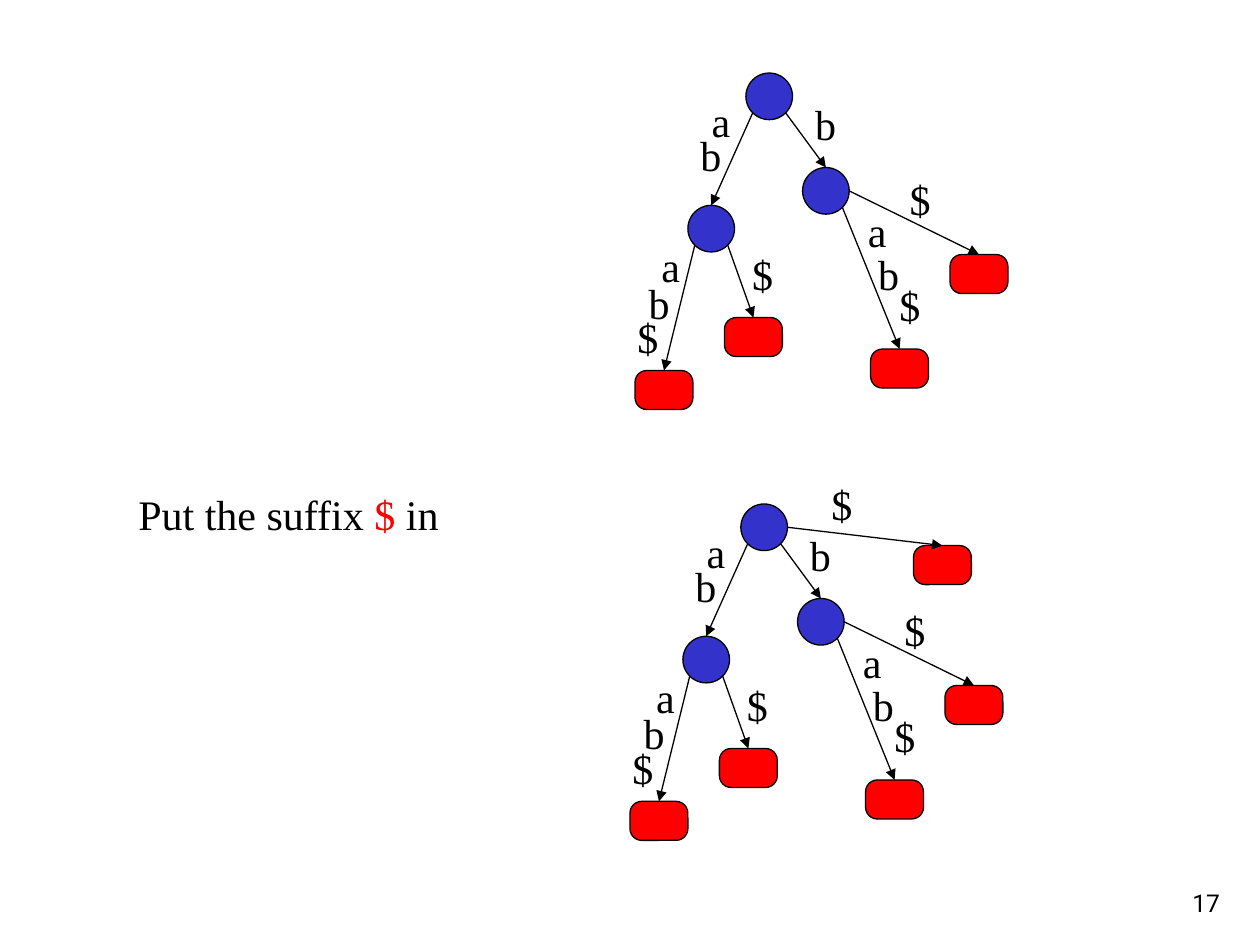
from math import sqrt

from lxml.etree import SubElement
from pptx import Presentation
from pptx.dml.color import RGBColor
from pptx.enum.shapes import MSO_CONNECTOR, MSO_SHAPE
from pptx.enum.text import MSO_ANCHOR, PP_ALIGN
from pptx.oxml.ns import qn
from pptx.util import Inches, Pt

COLORS = {"node": "3333CC", "leaf": "FF0000", "ink": "000000"}
SERIF = "Times New Roman"
CAPTION = [("Put the suffix ", "ink"), ("$", "leaf"), (" in", "ink")]
PAGE_NUMBER = "17"

NODES = {"root": (5.92, 0.58), "ab": (5.46, 1.63), "b": (6.37, 1.33)}
LEAVES = {
    "abab$": (5.04, 2.94),
    "ab$": (5.75, 2.52),
    "bab$": (6.91, 2.77),
    "b$": (7.54, 2.02),
}
EDGES = [
    ("root", "lower left", "ab", [("a", 5.55, 0.71), ("b", 5.46, 0.98)]),
    ("root", "lower right", "b", [("b", 6.37, 0.73)]),
    ("ab", "lower left", "abab$", [("a", 5.15, 1.86), ("b", 5.05, 2.15), ("$", 4.96, 2.42)]),
    ("ab", "lower right", "ab$", [("$", 5.87, 1.92)]),
    ("b", "lower right", "bab$", [("a", 6.79, 1.58), ("b", 6.87, 1.92), ("$", 7.04, 2.17)]),
    ("b", "right", "b$", [("$", 7.12, 1.33)]),
]
NEW_LEAF = {"$": (7.29, 0.91)}
NEW_EDGE = ("root", "right", "$", [("$", 6.54, 0.33)])
TREES = [
    ((0, 0), LEAVES, EDGES),
    ((-0.04, 3.42), {**LEAVES, **NEW_LEAF}, EDGES + [NEW_EDGE]),
]

NODE_SIZE = 0.37
LEAF_WIDTH, LEAF_HEIGHT = 0.46, 0.31
DIAGONAL = 1 / sqrt(2)
EXITS = {
    "lower left": (-DIAGONAL, DIAGONAL),
    "lower right": (DIAGONAL, DIAGONAL),
    "right": (1, 0),
}


def color(name):
    return RGBColor.from_string(COLORS[name])


def add_text(slide, box, runs, size=24, font=SERIF):
    frame = slide.shapes.add_textbox(*map(Inches, box)).text_frame
    frame.word_wrap = True
    paragraph = frame.paragraphs[0]
    for text, ink in runs:
        run = paragraph.add_run()
        run.text = text
        run.font.size = Pt(size)
        run.font.name = font
        run.font.color.rgb = color(ink)
    return frame


def add_vertex(slide, preset, box, fill):
    vertex = slide.shapes.add_shape(preset, *map(Inches, box))
    vertex.shadow.inherit = False
    vertex.fill.solid()
    vertex.fill.fore_color.rgb = color(fill)
    vertex.line.color.rgb = color("ink")
    vertex.line.width = Pt(0.75)
    return vertex


def add_arrow(slide, start, end):
    arrow = slide.shapes.add_connector(MSO_CONNECTOR.STRAIGHT, *map(Inches, start + end))
    arrow.line.color.rgb = color("ink")
    arrow.line.width = Pt(0.75)
    SubElement(arrow.line._get_or_add_ln(), qn("a:tailEnd"), type="triangle")
    SubElement(arrow._element.spPr, qn("a:effectLst"))


def add_tree(slide, offset, leaves, edges):
    dx, dy = offset
    radius = NODE_SIZE / 2
    tops = {}
    for name, (x, y) in NODES.items():
        add_vertex(slide, MSO_SHAPE.OVAL, (x + dx, y + dy, NODE_SIZE, NODE_SIZE), "node")
        tops[name] = (x + dx + radius, y + dy)
    for name, (x, y) in leaves.items():
        box = (x + dx, y + dy, LEAF_WIDTH, LEAF_HEIGHT)
        leaf = add_vertex(slide, MSO_SHAPE.ROUNDED_RECTANGLE, box, "leaf")
        leaf.adjustments[0] = 0.3
        tops[name] = (x + dx + LEAF_WIDTH / 2, y + dy)
    for parent, side, child, letters in edges:
        x, y = tops[parent]
        right, down = EXITS[side]
        start = (x + right * radius, y + radius + down * radius)
        add_arrow(slide, start, tops[child])
        for letter, left, top in letters:
            add_text(slide, (left + dx, top + dy, 0.42, 0.5), [(letter, "ink")])


def main():
    deck = Presentation()
    deck.slide_width, deck.slide_height = Inches(10), Inches(7.5)
    slide = deck.slides.add_slide(deck.slide_layouts[6])
    add_text(slide, (1, 3.83, 3.83, 0.5), CAPTION)
    for offset, leaves, edges in TREES:
        add_tree(slide, offset, leaves, edges)
    footer = add_text(slide, (7.7, 6.83, 2.08, 0.5), [(PAGE_NUMBER, "ink")], 14, "Roboto")
    footer.vertical_anchor = MSO_ANCHOR.BOTTOM
    footer.paragraphs[0].alignment = PP_ALIGN.RIGHT
    deck.save("out.pptx")


if __name__ == "__main__":
    main()
